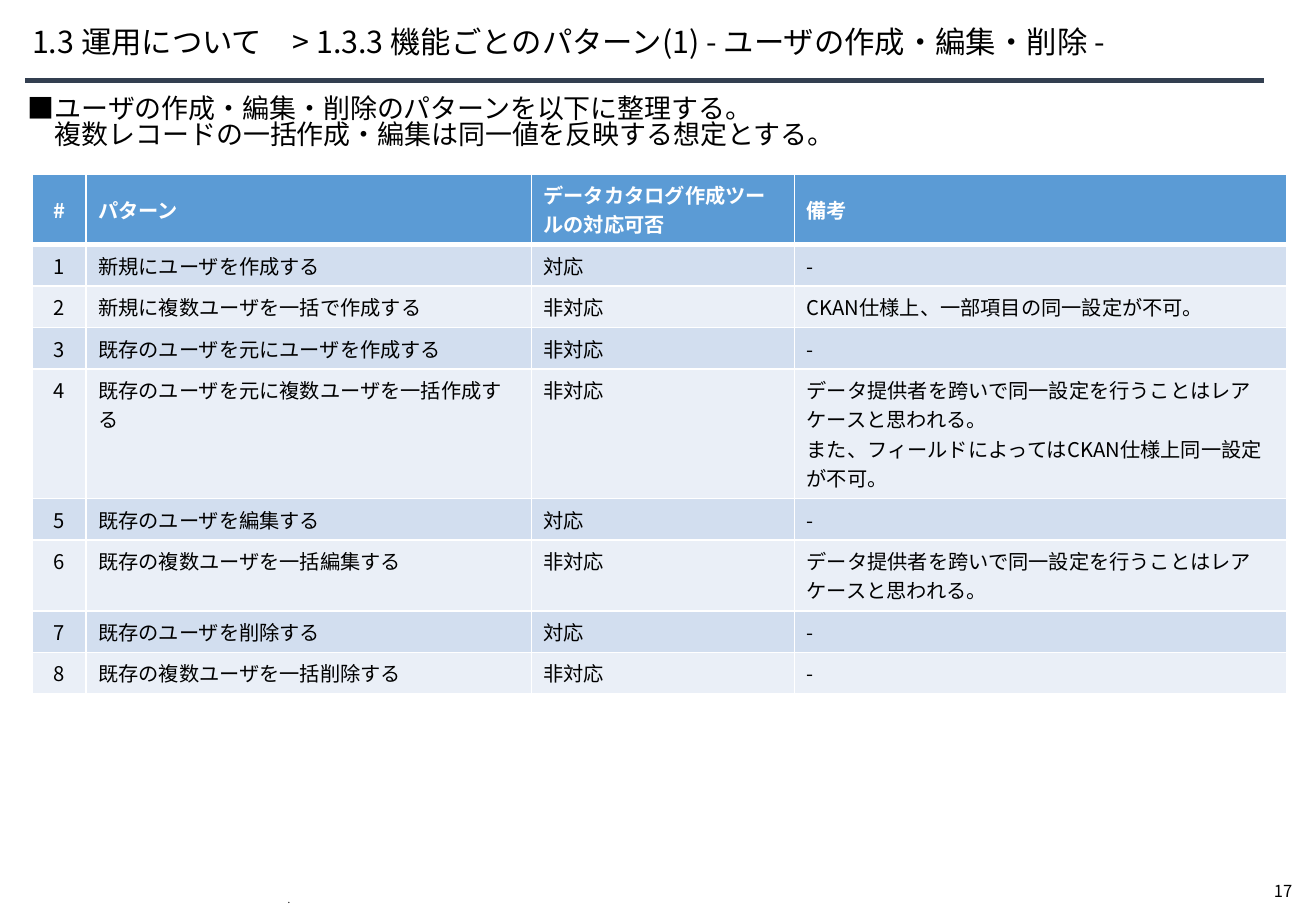
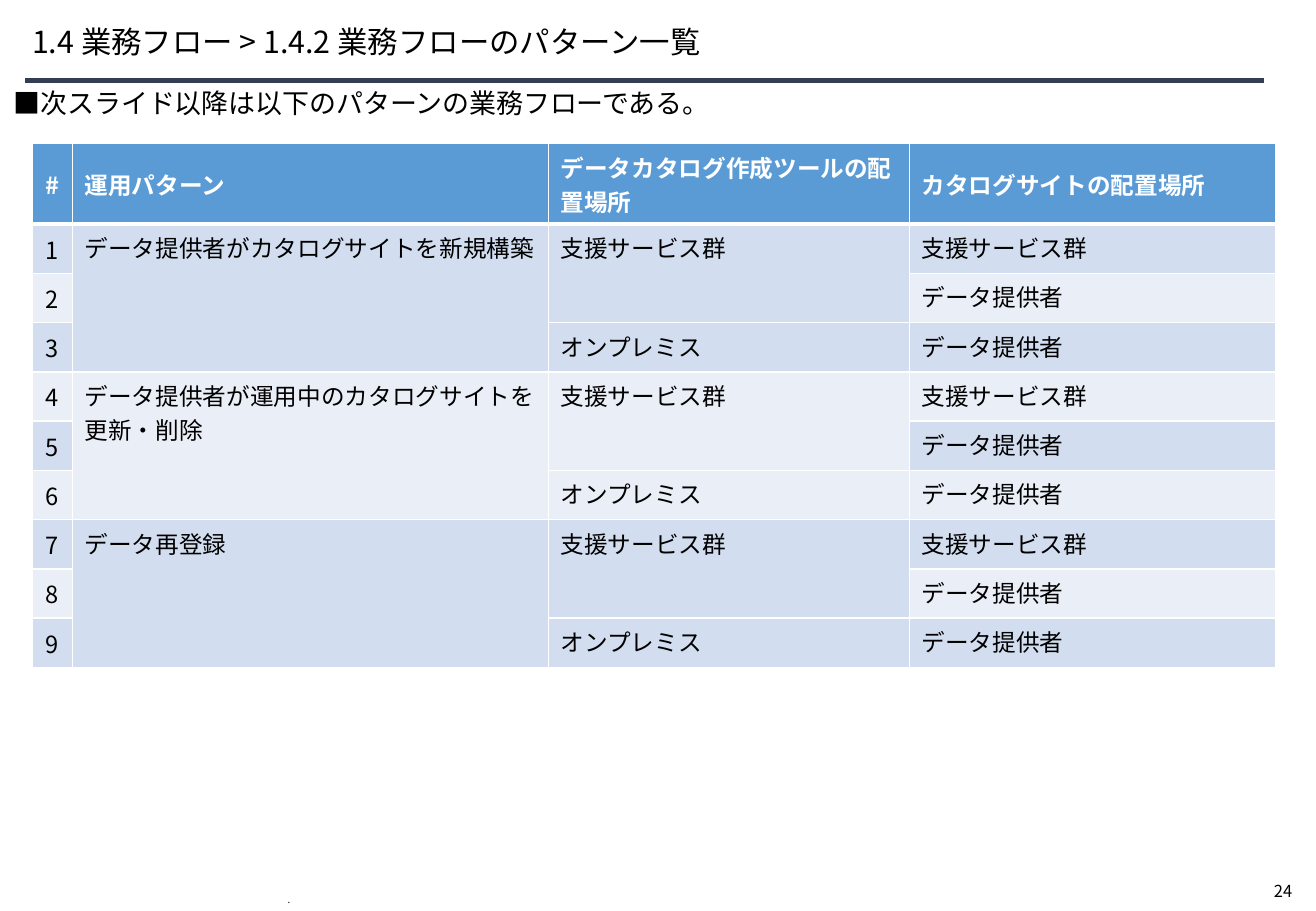
from lxml.etree import SubElement
from pptx import Presentation
from pptx.dml.color import RGBColor
from pptx.enum.shapes import MSO_CONNECTOR, MSO_SHAPE
from pptx.enum.text import MSO_ANCHOR, MSO_AUTO_SIZE, PP_ALIGN
from pptx.oxml.ns import qn
from pptx.util import Pt

COLORS = {
    "text": "000000",
    "white": "FFFFFF",
    "rule": "333F50",
    "header": "5B9BD5",
    "odd_row": "D2DEEF",
    "even_row": "EAEFF7",
}
FONT = "Noto Sans CJK JP"
TABLE_LEFT = 19
CELL_PADDING = 7.2
LINE_RATIO = 1.45

USER_HEADER = ("#", "パターン", "データカタログ作成ツールの対応可否", "備考")
RARE_CASE = "データ提供者を跨いで同一設定を行うことはレアケースと思われる。"
USER_PATTERNS = [
    ("新規にユーザを作成する", "対応", "-"),
    ("新規に複数ユーザを一括で作成する", "非対応", "CKAN仕様上、一部項目の同一設定が不可。"),
    ("既存のユーザを元にユーザを作成する", "非対応", "-"),
    ("既存のユーザを元に複数ユーザを一括作成する", "非対応",
     RARE_CASE + "\nまた、フィールドによってはCKAN仕様上同一設定が不可。"),
    ("既存のユーザを編集する", "対応", "-"),
    ("既存の複数ユーザを一括編集する", "非対応", RARE_CASE),
    ("既存のユーザを削除する", "対応", "-"),
    ("既存の複数ユーザを一括削除する", "非対応", "-"),
]
USER_LINE_COUNTS = [2, 1, 1, 1, 4, 1, 2, 1, 1]

FLOW_HEADER = ("#", "運用パターン", "データカタログ作成ツールの配置場所", "カタログサイトの配置場所")
FLOW_PATTERNS = [
    "データ提供者がカタログサイトを新規構築",
    "データ提供者が運用中のカタログサイトを更新・削除",
    "データ再登録",
]
PLACEMENTS = [
    ("支援サービス群", "支援サービス群"),
    ("", "データ提供者"),
    ("オンプレミス", "データ提供者"),
]


def color(key):
    """Return the palette colour for a key."""
    return RGBColor.from_string(COLORS[key])


def write(frame, text, size=12, fill="text", bold=False, align=PP_ALIGN.LEFT,
          spacing=None, anchor=MSO_ANCHOR.TOP, hang=0):
    """Fill a text frame, one paragraph per line, indenting later lines by hang."""
    frame.vertical_anchor = anchor
    for index, line in enumerate(text.split("\n")):
        paragraph = frame.add_paragraph() if index else frame.paragraphs[0]
        paragraph.alignment = align
        if spacing:
            paragraph.line_spacing = spacing
        if index and hang:
            paragraph._p.get_or_add_pPr().set("marL", str(Pt(hang)))
        run = paragraph.add_run()
        run.text = line
        run.font.size = Pt(size)
        run.font.bold = bold
        run.font.color.rgb = color(fill)
        run.font.name = FONT
        SubElement(run._r.get_or_add_rPr(), qn("a:ea"), typeface=FONT)


def add_label(slide, text, left, top, width, height, wrap=True, **style):
    """Add a plain text box."""
    label = slide.shapes.add_textbox(Pt(left), Pt(top), Pt(width), Pt(height))
    label.text_frame.word_wrap = wrap
    write(label.text_frame, text, **style)


def add_rule(slide):
    """Draw the rule below the title."""
    rule = slide.shapes.add_connector(MSO_CONNECTOR.STRAIGHT, Pt(15), Pt(47.6), Pt(749.5), Pt(47.6))
    rule.line.color.rgb = color("rule")
    rule.line.width = Pt(3)
    SubElement(rule._element.spPr, qn("a:effectLst"))


def add_page(deck, heading, number):
    """Add a slide with the shared title, rule and footer."""
    slide = deck.slides.add_slide(deck.slide_layouts[5])
    title = slide.shapes.title
    title.left, title.top, title.width, title.height = Pt(19), Pt(9), Pt(714), Pt(34)
    frame = title.text_frame
    frame.auto_size = MSO_AUTO_SIZE.NONE
    frame.margin_left = 0
    write(frame, heading, size=18, spacing=0.9, anchor=MSO_ANCHOR.MIDDLE)
    add_rule(slide)
    add_label(slide, str(number), 748, 518.4, 31, 19.4, wrap=False, size=9.8)
    add_label(slide, ".", 163.4, 530, 453.6, 10, size=5.7, spacing=Pt(1.6), anchor=MSO_ANCHOR.BOTTOM)
    return slide


def add_intro(slide, text, left, top, height):
    """Add the white panel with the opening statement."""
    panel = slide.shapes.add_shape(MSO_SHAPE.RECTANGLE, Pt(left), Pt(top), Pt(731.5), Pt(height))
    panel.shadow.inherit = False
    panel.fill.solid()
    panel.fill.fore_color.rgb = color("white")
    panel.line.fill.background()
    panel.text_frame.word_wrap = True
    write(panel.text_frame, text, size=16, spacing=0.82, hang=16)


def style_cell(cell, fill, top, bottom):
    """Give a cell its fill and white borders."""
    properties = cell._tc.get_or_add_tcPr()
    for side, width in (("L", 1), ("R", 1), ("T", top), ("B", bottom)):
        border = SubElement(properties, qn(f"a:ln{side}"), w=str(Pt(width)))
        paint = SubElement(border, qn("a:solidFill"))
        SubElement(paint, qn("a:srgbClr"), val=COLORS["white"])
    cell.fill.solid()
    cell.fill.fore_color.rgb = color(fill)


def add_grid(slide, rows, top, widths, heights, size, number_anchor=MSO_ANCHOR.TOP):
    """Add a banded table with a header row and a centred number column."""
    table = slide.shapes.add_table(len(rows), len(widths), Pt(TABLE_LEFT), Pt(top),
                                   Pt(sum(widths)), Pt(sum(heights))).table
    for column, width in zip(table.columns, widths):
        column.width = Pt(width)
    for r, (values, height) in enumerate(zip(rows, heights)):
        table.rows[r].height = Pt(height)
        header = r == 0
        band = "header" if header else "odd_row" if r % 2 else "even_row"
        for c, value in enumerate(values):
            cell = table.cell(r, c)
            style_cell(cell, band, 3 if r == 1 else 1, 3 if header else 1)
            if not value:
                continue
            anchor = MSO_ANCHOR.MIDDLE if header else MSO_ANCHOR.TOP if c else number_anchor
            write(cell.text_frame, value, size=size, bold=header,
                  fill="white" if header else "text",
                  align=PP_ALIGN.LEFT if c else PP_ALIGN.CENTER)
            cell.vertical_anchor = anchor
    return table


def text_height(size, lines):
    """Return the height of a cell holding the given number of lines."""
    return round(lines * size * LINE_RATIO + CELL_PADDING, 2)


def add_user_page(deck):
    """Build the slide on user patterns."""
    slide = add_page(deck, "1.3 運用について　> 1.3.3 機能ごとのパターン(1) - ユーザの作成・編集・削除 -", 17)
    add_intro(slide, "■ユーザの作成・編集・削除のパターンを以下に整理する。\n"
                     "複数レコードの一括作成・編集は同一値を反映する想定とする。", 9.5, 54, 49)
    rows = [USER_HEADER] + [(str(n), *row) for n, row in enumerate(USER_PATTERNS, 1)]
    heights = [text_height(12, lines) for lines in USER_LINE_COUNTS]
    add_grid(slide, rows, 103, [32, 264, 156, 292], heights, 12)


def add_flow_page(deck):
    """Build the slide on business flow patterns."""
    slide = add_page(deck, "1.4 業務フロー > 1.4.2 業務フローのパターン一覧", 24)
    add_intro(slide, "■次スライド以降は以下のパターンの業務フローである。", 1, 51, 34)
    group_size = len(PLACEMENTS)
    rows = [FLOW_HEADER]
    for pattern in FLOW_PATTERNS:
        for index, placement in enumerate(PLACEMENTS):
            rows.append((str(len(rows)), "" if index else pattern, *placement))
    heights = [text_height(14, 2)] + [29.2] * (len(rows) - 1)
    table = add_grid(slide, rows, 85, [24, 282, 214, 217], heights, 14, MSO_ANCHOR.MIDDLE)
    for first in range(1, len(rows), group_size):
        table.cell(first, 1).merge(table.cell(first + group_size - 1, 1))
        table.cell(first, 2).merge(table.cell(first + 1, 2))


def main():
    """Build and save the deck."""
    deck = Presentation()
    deck.slide_width, deck.slide_height = Pt(780), Pt(540)
    add_user_page(deck)
    add_flow_page(deck)
    deck.save("out.pptx")


if __name__ == "__main__":
    main()
